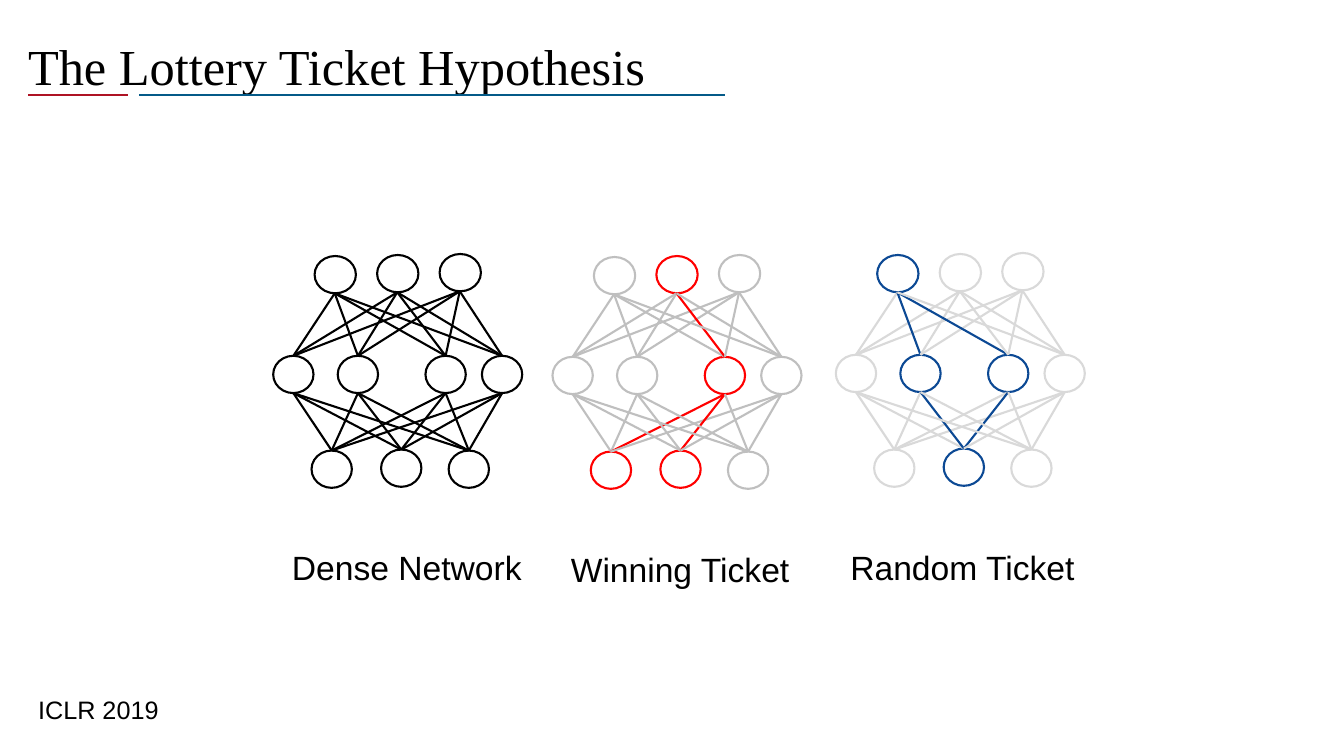
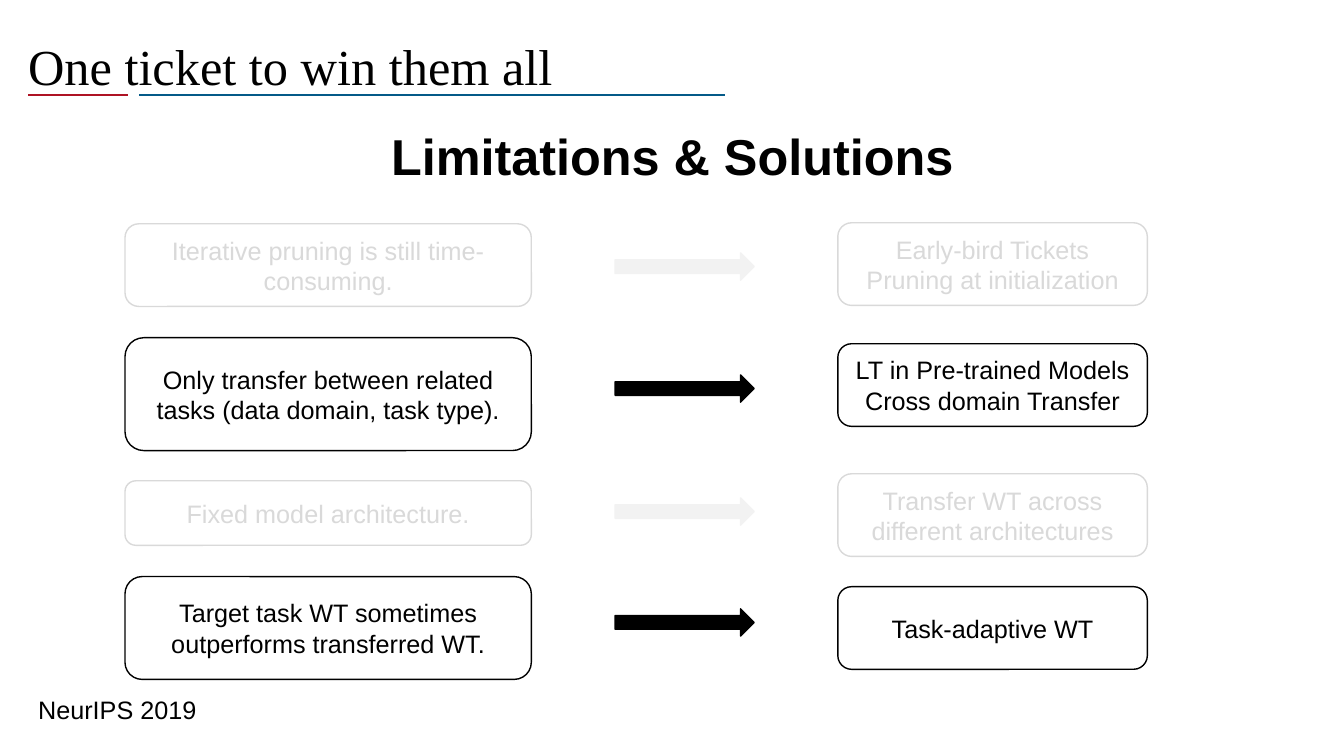
from itertools import product

from lxml.etree import SubElement
from pptx import Presentation
from pptx.dml.color import RGBColor
from pptx.enum.shapes import MSO_CONNECTOR as Link, MSO_SHAPE as Kind
from pptx.enum.text import MSO_ANCHOR as Anchor, PP_ALIGN as Align
from pptx.oxml.ns import qn
from pptx.util import Pt

BLACK = RGBColor(0x00, 0x00, 0x00)
WHITE = RGBColor(0xFF, 0xFF, 0xFF)
CRIMSON = RGBColor(0xAE, 0x13, 0x24)
TEAL = RGBColor(0x04, 0x5A, 0x88)
RED = RGBColor(0xFF, 0x00, 0x00)
BLUE = RGBColor(0x0C, 0x49, 0x94)
GREY = RGBColor(0xBF, 0xBF, 0xBF)
PALE = RGBColor(0xD9, 0xD9, 0xD9)
FAINT = RGBColor(0xF2, 0xF2, 0xF2)

SCALE = 9144
SANS = "Arial"
SERIF = "Times New Roman"

TOP = [(312, 254), (374, 253), (436, 252)]
MID = [(271, 353), (335, 353), (422, 353), (478, 353)]
LOW = [(309, 447), (378, 446), (445, 447)]
TALL = 37

NETS = [
    (277, 1, GREY, RED, ({1}, {2}, {0, 1})),
    (0, 0, BLACK, BLACK, (set(), set(), set())),
    (558, -1, PALE, BLUE, ({0}, {1, 2}, {1})),
]
LABELS = [
    ("Winning Ticket", 554, 540, 241),
    ("Dense Network", 278, 538, 251),
    ("Random Ticket", 832, 538, 245),
]
ROWS = [
    (222, 82, "Iterative pruning is still time-consuming.", 251,
     221, "Early-bird Tickets\nPruning at initialization", False),
    (335, 112, "Only transfer between related tasks (data domain, task type).", 372,
     341, "LT in Pre-trained Models\nCross domain Transfer", True),
    (477, 64, "Fixed model architecture.", 494,
     470, "Transfer WT across different architectures", False),
    (572, 102, "Target task WT sometimes outperforms transferred WT.", 604,
     582, "Task-adaptive WT", True),
]


def px(*sizes):
    return [size * SCALE for size in sizes]


class Deck:
    def __init__(self):
        self.show = Presentation()
        self.show.slide_width, self.show.slide_height = px(1333, 750)

    def page(self, title, venue):
        self.slide = self.show.slides.add_slide(self.show.slide_layouts[6])
        self.text(title, 18, -4, 1150, 145, 36, font=SERIF,
                  anchor=Anchor.MIDDLE, space=0.9)
        self.line((28, 94), (127, 94), CRIMSON)
        self.line((138, 94), (719, 94), TEAL)
        self.text(venue, 28, 684, 180, 40, 18, wrap=False)

    def fill(self, frame, words, size, color=BLACK, font=SANS, bold=False,
             align=Align.LEFT, anchor=Anchor.TOP, wrap=True, space=None):
        frame.word_wrap = wrap
        frame.vertical_anchor = anchor
        for at, part in enumerate(words.split("\n")):
            para = frame.add_paragraph() if at else frame.paragraphs[0]
            para.alignment = align
            para.line_spacing = space
            run = para.add_run()
            run.text = part
            run.font.size = Pt(size)
            run.font.name = font
            run.font.bold = bold
            run.font.color.rgb = color

    def text(self, words, x, y, wide, high, size, **style):
        box = self.slide.shapes.add_textbox(*px(x, y, wide, high))
        self.fill(box.text_frame, words, size, **style)

    def line(self, start, end, color):
        link = self.slide.shapes.add_connector(Link.STRAIGHT, *px(*start, *end))
        link.line.color.rgb = color
        link.line.width = Pt(1.5)
        SubElement(link.element.spPr, qn("a:effectLst"))

    def shape(self, kind, x, y, wide, high, edge, fill=None, weight=1):
        item = self.slide.shapes.add_shape(kind, *px(x, y, wide, high))
        item.shadow.inherit = False
        if fill is None:
            item.fill.background()
        else:
            item.fill.solid()
            item.fill.fore_color.rgb = fill
        item.line.color.rgb = edge
        item.line.width = Pt(weight)
        return item

    def card(self, words, x, y, wide, high, color):
        item = self.shape(Kind.ROUNDED_RECTANGLE, x, y, wide, high, color, WHITE)
        self.fill(item.text_frame, words, 18, color=color,
                  align=Align.CENTER, anchor=Anchor.MIDDLE)

    def net(self, dx, dy, base, glow, lit):
        tiers = [[(x + dx, y + dy) for x, y in tier] for tier in (TOP, MID, LOW)]
        for tier, hot, wide in zip(tiers, lit, (41, 40, 40)):
            for at, (x, y) in enumerate(tier):
                self.shape(Kind.FLOWCHART_CONNECTOR, x, y, wide, TALL,
                           glow if at in hot else base, weight=1.5)
        for up in (1, 0):
            pairs = product(enumerate(tiers[up + 1]), enumerate(tiers[up]))
            for (low, (lx, ly)), (top, (tx, ty)) in pairs:
                hot = low in lit[up + 1] and top in lit[up]
                self.line((tx + 20, ty + TALL), (lx + 20, ly), glow if hot else base)


def main():
    deck = Deck()

    deck.page("The Lottery Ticket Hypothesis", "ICLR 2019")
    for net in NETS:
        deck.net(*net)
    for words, x, y, wide in LABELS:
        deck.text(words, x, y, wide, 50, 24, align=Align.CENTER, wrap=False)

    deck.page("One ticket to win them all", "NeurIPS 2019")
    deck.text("Limitations & Solutions", 157, 119, 1020, 71, 36,
              bold=True, align=Align.CENTER)
    for y, high, limit, mid, top, cure, on in ROWS:
        ink, tint = (BLACK, BLACK) if on else (PALE, FAINT)
        deck.card(limit, 124, y, 403, high, ink)
        deck.shape(Kind.RIGHT_ARROW, 610, mid, 138, 27, tint, tint)
        deck.card(cure, 831, top, 307, 82, ink)

    deck.show.save("out.pptx")


if __name__ == "__main__":
    main()
